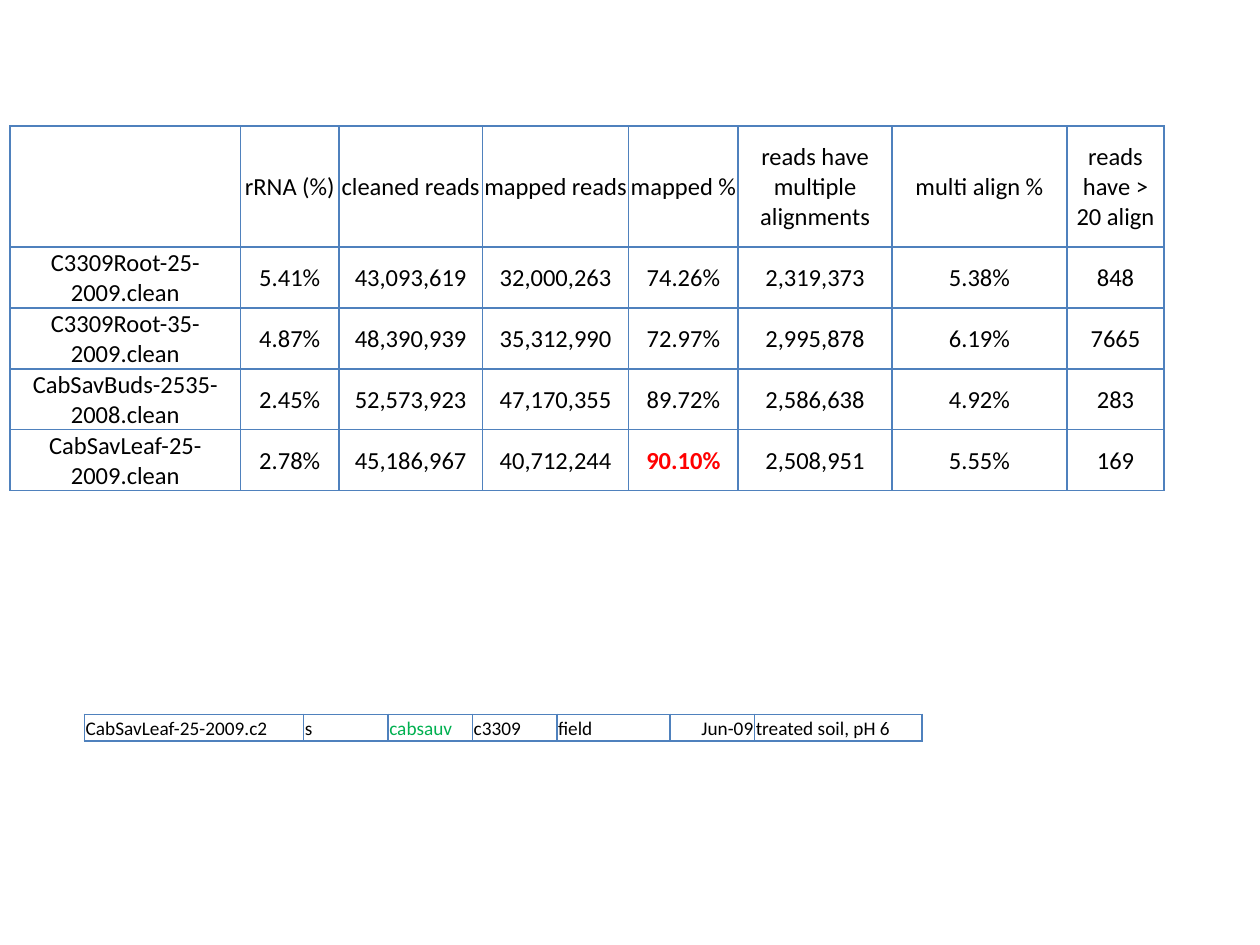
from pptx import Presentation
from pptx.dml.color import RGBColor
from pptx.enum.text import MSO_ANCHOR, PP_ALIGN
from pptx.oxml import parse_xml
from pptx.oxml.ns import nsdecls
from pptx.util import Inches, Pt

MIDDLE, BOTTOM = MSO_ANCHOR.MIDDLE, MSO_ANCHOR.BOTTOM
LEFT, CENTER, RIGHT = PP_ALIGN.LEFT, PP_ALIGN.CENTER, PP_ALIGN.RIGHT
BLACK = RGBColor(0x00, 0x00, 0x00)
RED = RGBColor(0xFF, 0x00, 0x00)
GREEN = RGBColor(0x00, 0xB0, 0x50)
BORDER = RGBColor(0x4F, 0x81, 0xBD)

# Content
MAPPING = [
    ("", "rRNA (%)", "cleaned reads", "mapped reads", "mapped %",
     "reads have multiple alignments", "multi align %", "reads have > 20 align"),
    ("C3309Root-25-2009.clean", "5.41%", "43,093,619", "32,000,263", "74.26%",
     "2,319,373", "5.38%", "848"),
    ("C3309Root-35-2009.clean", "4.87%", "48,390,939", "35,312,990", "72.97%",
     "2,995,878", "6.19%", "7665"),
    ("CabSavBuds-2535-2008.clean", "2.45%", "52,573,923", "47,170,355", "89.72%",
     "2,586,638", "4.92%", "283"),
    ("CabSavLeaf-25-2009.clean", "2.78%", "45,186,967", "40,712,244", "90.10%",
     "2,508,951", "5.55%", "169"),
]
MAPPING_COLS = [1.83, 0.78, 1.14, 1.16, 0.87, 1.22, 1.39, 0.77]
MAPPING_ROWS = [0.96] + [0.48] * 4

SAMPLE = [("CabSavLeaf-25-2009.c2", "s", "cabsauv", "c3309", "field",
           "Jun-09", "treated soil, pH 6")]
SAMPLE_COLS = [1.74, 0.67, 0.67, 0.67, 0.9, 0.67, 1.33]
SAMPLE_ROWS = [0.21]


def add_borders(cell):
    tcPr = cell._tc.get_or_add_tcPr()
    for side in ("lnL", "lnR", "lnT", "lnB"):
        tcPr.append(parse_xml(
            f'<a:{side} {nsdecls("a")} w="{Pt(1)}"><a:solidFill>'
            f'<a:srgbClr val="{BORDER}"/></a:solidFill></a:{side}>'))


def add_grid(s, left, top, cols, rows, content, size, anchor, align):
    table = s.shapes.add_table(
        len(rows), len(cols), Inches(left), Inches(top),
        Inches(sum(cols)), Inches(sum(rows))).table
    table.first_row = table.horz_banding = False
    for column, width in zip(table.columns, cols):
        column.width = Inches(width)
    for row, height, texts in zip(table.rows, rows, content):
        row.height = Inches(height)
        for cell, text in zip(row.cells, texts):
            cell.margin_left = cell.margin_right = cell.margin_top = Inches(0.01)
            cell.margin_bottom = 0
            cell.vertical_anchor = anchor
            add_borders(cell)
            cell.fill.background()
            cell.text = text
            p = cell.text_frame.paragraphs[0]
            p.alignment = align
            p.font.name = "Calibri"
            p.font.size = Pt(size)
            p.font.color.rgb = BLACK
    return table


prs = Presentation()
prs.slide_width, prs.slide_height = Inches(10), Inches(7.5)
s = prs.slides.add_slide(prs.slide_layouts[6])

# Read mapping statistics, best mapping rate highlighted
mapping = add_grid(s, 0.08, 1, MAPPING_COLS, MAPPING_ROWS, MAPPING, 14, MIDDLE, CENTER)
best = mapping.cell(4, 4).text_frame.paragraphs[0]
best.font.bold = True
best.font.color.rgb = RED

# Sample description
sample = add_grid(s, 0.67, 5.67, SAMPLE_COLS, SAMPLE_ROWS, SAMPLE, 11, BOTTOM, LEFT)
sample.cell(0, 2).text_frame.paragraphs[0].font.color.rgb = GREEN
sample.cell(0, 5).text_frame.paragraphs[0].alignment = RIGHT

prs.save("out.pptx")
